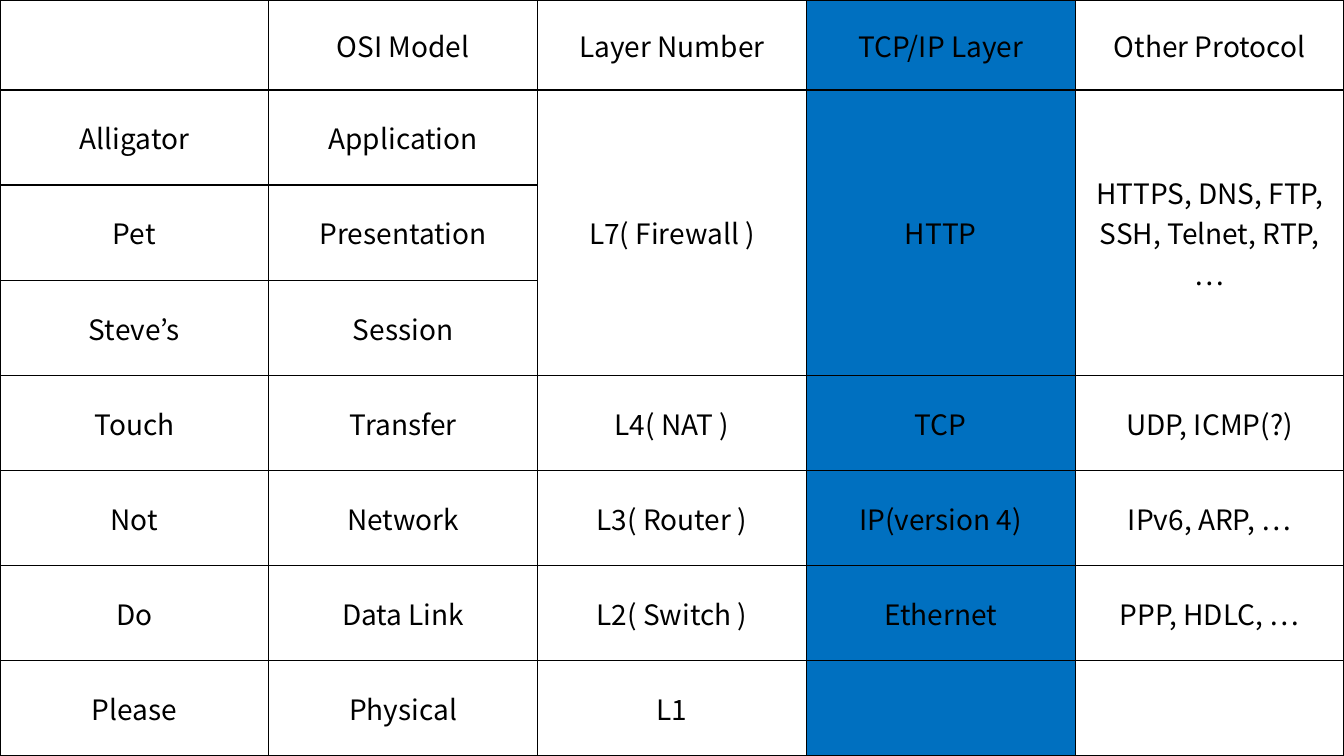
from lxml import etree
from pptx import Presentation
from pptx.dml.color import RGBColor
from pptx.enum.text import MSO_ANCHOR, PP_ALIGN
from pptx.oxml.ns import qn
from pptx.util import Emu, Pt

CENTER = PP_ALIGN.CENTER
MIDDLE = MSO_ANCHOR.MIDDLE

EMU_PER_PX = 914400 / 100.8
SLIDE_WIDTH, SLIDE_HEIGHT = 1344, 756
HEADER_HEIGHT = 90
BLANK_LAYOUT = 6

FONT = "Noto Sans CJK KR"
FONT_SIZE = 20
BORDER_WIDTH = 1
BLACK = "000000"
BLUE = "0070C0"

TCP_IP_COLUMN = 3
MERGED_COLUMNS = (2, 3, 4)
MERGED_ROWS = (1, 3)

LAYERS = [
    ("", "OSI Model", "Layer Number", "TCP/IP Layer", "Other Protocol"),
    ("Alligator", "Application", "L7( Firewall )", "HTTP",
     "HTTPS, DNS, FTP, SSH, Telnet, RTP, …"),
    ("Pet", "Presentation", "", "", ""),
    ("Steve’s", "Session", "", "", ""),
    ("Touch", "Transfer", "L4( NAT )", "TCP", "UDP, ICMP(?)"),
    ("Not", "Network", "L3( Router )", "IP(version 4)", "IPv6, ARP, …"),
    ("Do", "Data Link", "L2( Switch )", "Ethernet", "PPP, HDLC, …"),
    ("Please", "Physical", "L1", "", ""),
]


def px(length):
    return Emu(round(length * EMU_PER_PX))


def color(hex_code):
    return RGBColor.from_string(hex_code)


def add_borders(cell):
    properties = cell._tc.get_or_add_tcPr()
    for position, side in enumerate(("lnL", "lnR", "lnT", "lnB")):
        border = etree.Element(qn(f"a:{side}"), w=str(Pt(BORDER_WIDTH)))
        fill = etree.SubElement(border, qn("a:solidFill"))
        etree.SubElement(fill, qn("a:srgbClr"), val=BLACK)
        properties.insert(position, border)


def write_cell(cell, text):
    cell.vertical_anchor = MIDDLE
    cell.text_frame.text = text
    paragraph = cell.text_frame.paragraphs[0]
    paragraph.alignment = CENTER
    for run in paragraph.runs:
        run.font.size = Pt(FONT_SIZE)
        run.font.color.rgb = color(BLACK)
        run.font.name = FONT
        etree.SubElement(run.font._element, qn("a:ea"), typeface=FONT)


def fill_cell(cell, hex_code=None):
    if hex_code:
        cell.fill.solid()
        cell.fill.fore_color.rgb = color(hex_code)
    else:
        cell.fill.background()


def add_layer_table(slide):
    row_count, column_count = len(LAYERS), len(LAYERS[0])
    layers = slide.shapes.add_table(
        row_count, column_count, 0, 0, px(SLIDE_WIDTH), px(SLIDE_HEIGHT)
    ).table
    layers.first_row = False
    layers.horz_banding = False

    for column in layers.columns:
        column.width = px(SLIDE_WIDTH / column_count)
    for row in layers.rows:
        row.height = px((SLIDE_HEIGHT - HEADER_HEIGHT) / (row_count - 1))
    layers.rows[0].height = px(HEADER_HEIGHT)

    for row_index, texts in enumerate(LAYERS):
        for column_index, text in enumerate(texts):
            cell = layers.cell(row_index, column_index)
            write_cell(cell, text)
            fill_cell(cell, BLUE if column_index == TCP_IP_COLUMN else None)
            add_borders(cell)

    first, last = MERGED_ROWS
    for column_index in MERGED_COLUMNS:
        layers.cell(first, column_index).merge(layers.cell(last, column_index))


def main():
    presentation = Presentation()
    presentation.slide_width = px(SLIDE_WIDTH)
    presentation.slide_height = px(SLIDE_HEIGHT)
    slide = presentation.slides.add_slide(presentation.slide_layouts[BLANK_LAYOUT])
    add_layer_table(slide)
    presentation.save("out.pptx")


if __name__ == "__main__":
    main()
